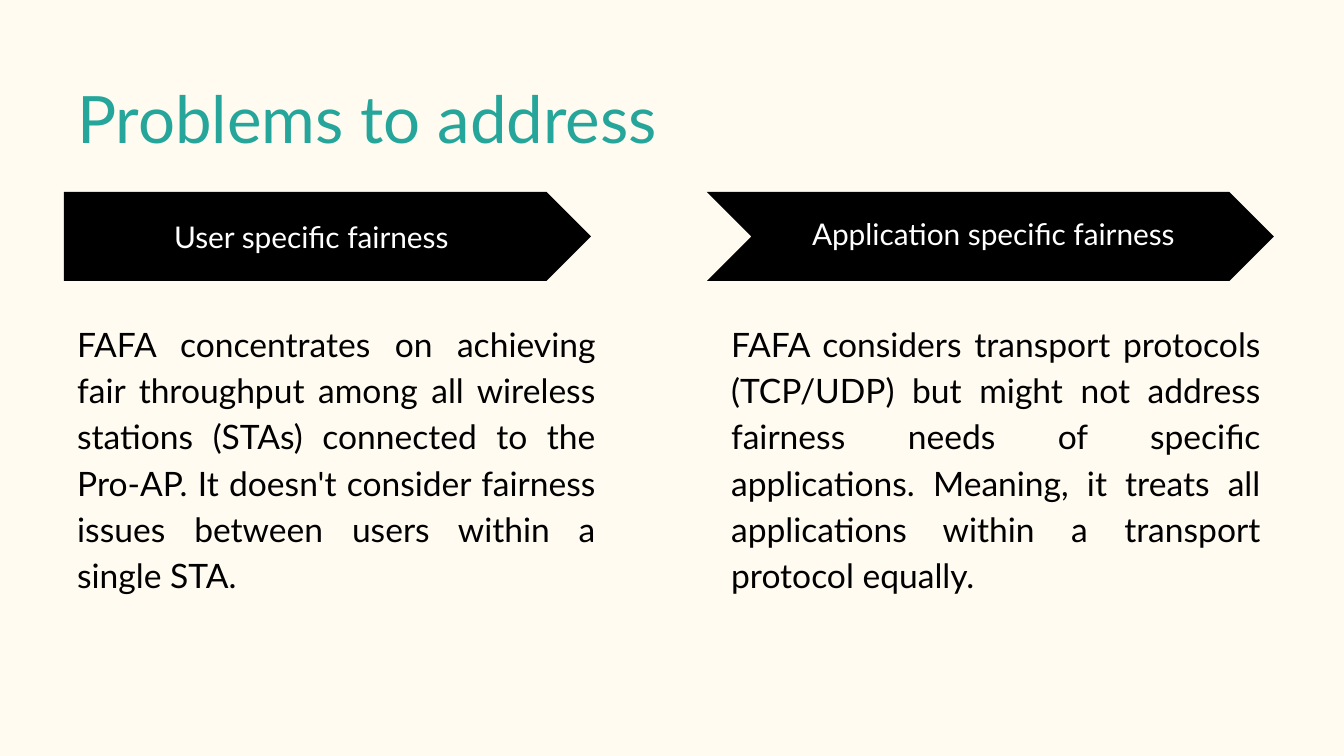
from pptx import Presentation, util as u
from pptx.dml.color import RGBColor
from pptx.enum import shapes, text

PX = 914400 / 134.4
FONT = "Lato"
CREAM = RGBColor(0xFF, 0xFB, 0xF0)
TEAL = RGBColor(0x26, 0xA6, 0x9A)
BLACK = RGBColor(0, 0, 0)
WHITE = RGBColor(0xFF, 0xFF, 0xFF)

BANNER_TOP, BANNER_HEIGHT = 192, 89
BODY_TOP, BODY_HEIGHT = 304, 390

LABEL = {"alignment": text.PP_ALIGN.CENTER}
BODY = {
    "alignment": text.PP_ALIGN.JUSTIFY,
    "line_spacing": 1.15,
    "space_after": u.Pt(8),
}

COLUMNS = [
    {
        "shape": shapes.MSO_SHAPE.PENTAGON,
        "banner": (64, 527),
        "label": (98, 427),
        "body": (64, 545),
        "heading": "User specific fairness",
        "heading_format": LABEL,
        "detail": "FAFA concentrates on achieving fair throughput among all "
                  "wireless stations (STAs) connected to the Pro-AP. It doesn't "
                  "consider fairness issues between users within a single STA.",
    },
    {
        "shape": shapes.MSO_SHAPE.CHEVRON,
        "banner": (707, 567),
        "label": (753, 481),
        "body": (718, 556),
        "heading": "Application specific fairness",
        "heading_format": {**LABEL, "line_spacing": 0.8},
        "detail": "FAFA considers transport protocols (TCP/UDP) but might not "
                  "address fairness needs of specific applications. Meaning, it "
                  "treats all applications within a transport protocol equally.",
    },
]


def px(*lengths):
    return [u.Emu(round(n * PX)) for n in lengths]


def add_text(s, box, words, size, color, paragraph=None, anchor=text.MSO_ANCHOR.TOP):
    tf = s.shapes.add_textbox(*px(*box)).text_frame
    frame = {"word_wrap": True, "vertical_anchor": anchor}
    for side in ("left", "top", "right", "bottom"):
        frame[f"margin_{side}"] = u.Inches(0.1)
    for name, value in frame.items():
        setattr(tf, name, value)
    p = tf.paragraphs[0]
    for name, value in (paragraph or {}).items():
        setattr(p, name, value)
    r = p.add_run()
    r.text = words
    for name, value in {"name": FONT, "size": u.Pt(size)}.items():
        setattr(r.font, name, value)
    r.font.color.rgb = color


def add_banner(s, kind, box):
    sp = s.shapes.add_shape(kind, *px(*box))
    sp.adjustments[0] = 0.5
    sp.shadow.inherit = False
    sp.fill.solid()
    sp.fill.fore_color.rgb = BLACK
    sp.line.fill.background()


def add_column(s, column):
    def box(part, top, height):
        left, width = column[part]
        return left, top, width, height

    add_banner(s, column["shape"], box("banner", BANNER_TOP, BANNER_HEIGHT))
    add_text(s, box("label", BANNER_TOP, BANNER_HEIGHT), column["heading"], 16,
             WHITE, column["heading_format"], text.MSO_ANCHOR.MIDDLE)
    add_text(s, box("body", BODY_TOP, BODY_HEIGHT), column["detail"], 18, BLACK, BODY)


def main():
    prs = Presentation()
    prs.slide_width, prs.slide_height = px(1344, 756)
    s = prs.slides.add_slide(prs.slide_layouts[6])
    s.background.fill.solid()
    s.background.fill.fore_color.rgb = CREAM
    add_text(s, (64, 65, 1253, 89), "Problems to address", 35, TEAL)
    for column in COLUMNS:
        add_column(s, column)
    prs.save("out.pptx")


if __name__ == "__main__":
    main()
